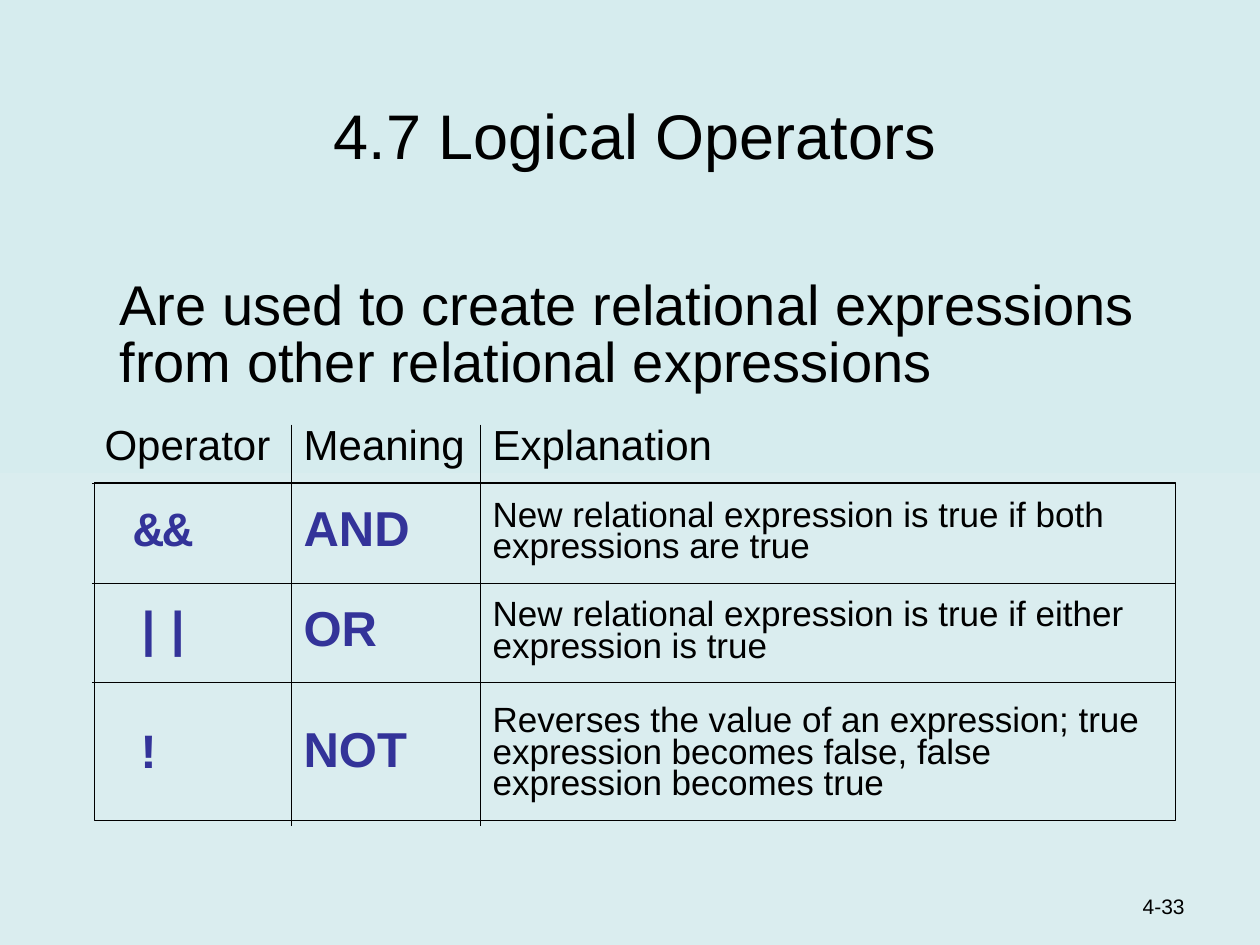
from typing import NamedTuple

from lxml.etree import SubElement
from pptx import Presentation
from pptx.dml.color import RGBColor
from pptx.enum.shapes import MSO_SHAPE
from pptx.enum.text import MSO_ANCHOR, PP_ALIGN
from pptx.oxml.ns import qn
from pptx.util import Pt

INK = "000000"
ACCENT = "333399"
COLUMNS = (113.76, 108, 397.44)
ROWS = (33.84, 56.88, 56.88, 82.08)


class Style(NamedTuple):
    size: float
    font: str = "Arial"
    color: str = INK
    bold: bool = False
    indent: float = 0


class Label(NamedTuple):
    text: str
    box: tuple
    style: Style
    align: PP_ALIGN
    anchor: MSO_ANCHOR
    spacing: float = 1.0


HEADER = (Style(24),) * 3
BODY = (
    Style(28, "Courier New", ACCENT, True, 16.8),
    Style(28, color=ACCENT, bold=True),
    Style(20),
)
OPERATORS = (
    ("Operator", "Meaning", "Explanation"),
    ("&&", "AND", "New relational expression is true if both expressions are true"),
    ("||", "OR", "New relational expression is true if either expression is true"),
    ("!", "NOT", "Reverses the value of an expression; true expression "
                 "becomes false, false expression becomes true"),
)
TITLE = Label("4.7 Logical Operators", (23.76, 23.76, 678.24, 78.48),
              Style(36), PP_ALIGN.CENTER, MSO_ANCHOR.BOTTOM)
LABELS = (
    Label("Are used to create relational expressions from other relational expressions",
          (33.84, 156.24, 652.32, 80), Style(32, indent=27.36),
          PP_ALIGN.LEFT, MSO_ANCHOR.TOP, 0.85),
    Label("4-33", (534.24, 492.48, 149.76, 36), Style(12),
          PP_ALIGN.RIGHT, MSO_ANCHOR.BOTTOM),
)


def rgb(value: str) -> RGBColor:
    """Turn a hex string into a colour."""
    return RGBColor.from_string(value)


def set_text(tf, text: str, style: Style, spacing: float) -> None:
    """Write one paragraph and format its run."""
    tf.text = text
    p = tf.paragraphs[0]
    p.line_spacing = spacing
    p.space_before = Pt(0)
    font = p.runs[0].font
    font.size = Pt(style.size)
    font.name = style.font
    font.bold = style.bold
    font.color.rgb = rgb(style.color)


def place_label(sp, label: Label) -> None:
    """Position a text shape and fill it."""
    sp.left, sp.top, sp.width, sp.height = map(Pt, label.box)
    tf = sp.text_frame
    set_text(tf, label.text, label.style, label.spacing)
    tf.word_wrap = True
    tf.vertical_anchor = label.anchor
    tf.margin_left = Pt(7.2 + label.style.indent)
    tf.margin_right = Pt(0 if label.align == PP_ALIGN.LEFT else 7.2)
    tf.paragraphs[0].alignment = label.align


def set_borders(cell, row: int, col: int) -> None:
    """Rule the inner edges of a cell and clear the outer ones."""
    inner = {
        "a:lnL": col > 0,
        "a:lnR": col < len(COLUMNS) - 1,
        "a:lnT": row > 0,
        "a:lnB": row < len(ROWS) - 1,
    }
    tc_pr = cell._tc.get_or_add_tcPr()
    for tag, ruled in inner.items():
        ln = SubElement(tc_pr, qn(tag), w=str(Pt(0.45)))
        if ruled:
            fill = SubElement(ln, qn("a:solidFill"))
            SubElement(fill, qn("a:srgbClr"), val=INK)
        else:
            SubElement(ln, qn("a:noFill"))


def add_operator_table(s) -> None:
    """Add the table of logical operators."""
    frame = s.shapes.add_table(len(ROWS), len(COLUMNS), Pt(52.56), Pt(242.64),
                               Pt(sum(COLUMNS)), Pt(sum(ROWS)))
    table = frame.table
    table.first_row = table.horz_banding = False
    for column, width in zip(table.columns, COLUMNS):
        column.width = Pt(width)
    for i, (row, height) in enumerate(zip(table.rows, ROWS)):
        row.height = Pt(height)
        styles = BODY if i else HEADER
        for j, (cell, text, style) in enumerate(zip(row.cells, OPERATORS[i], styles)):
            set_borders(cell, i, j)
            cell.fill.background()
            cell.margin_left = Pt(7.2 + style.indent)
            cell.vertical_anchor = MSO_ANCHOR.MIDDLE if i else MSO_ANCHOR.TOP
            set_text(cell.text_frame, text, style, 0.8)


def add_frame(s) -> None:
    """Outline the body rows of the table."""
    sp = s.shapes.add_shape(MSO_SHAPE.RECTANGLE, Pt(54), Pt(275.76), Pt(617.76), Pt(192.96))
    sp.shadow.inherit = False
    sp.fill.background()
    sp.line.color.rgb = rgb(INK)
    sp.line.width = Pt(0.75)


def set_background(s) -> None:
    """Fill the slide with a soft vertical gradient."""
    fill = s.background.fill
    fill.gradient()
    fill.gradient_angle = 90
    for stop, color, position in zip(fill.gradient_stops, ("DAEDEF", "D6ECEE"), (0, 1)):
        stop.color.rgb = rgb(color)
        stop.position = position


def main() -> None:
    """Build and save the slide."""
    prs = Presentation()
    prs.slide_width, prs.slide_height = Pt(720), Pt(540)
    s = prs.slides.add_slide(prs.slide_layouts[5])
    set_background(s)
    place_label(s.shapes.title, TITLE)
    for label in LABELS:
        place_label(s.shapes.add_textbox(0, 0, 0, 0), label)
    add_operator_table(s)
    add_frame(s)
    prs.save("out.pptx")


if __name__ == "__main__":
    main()
